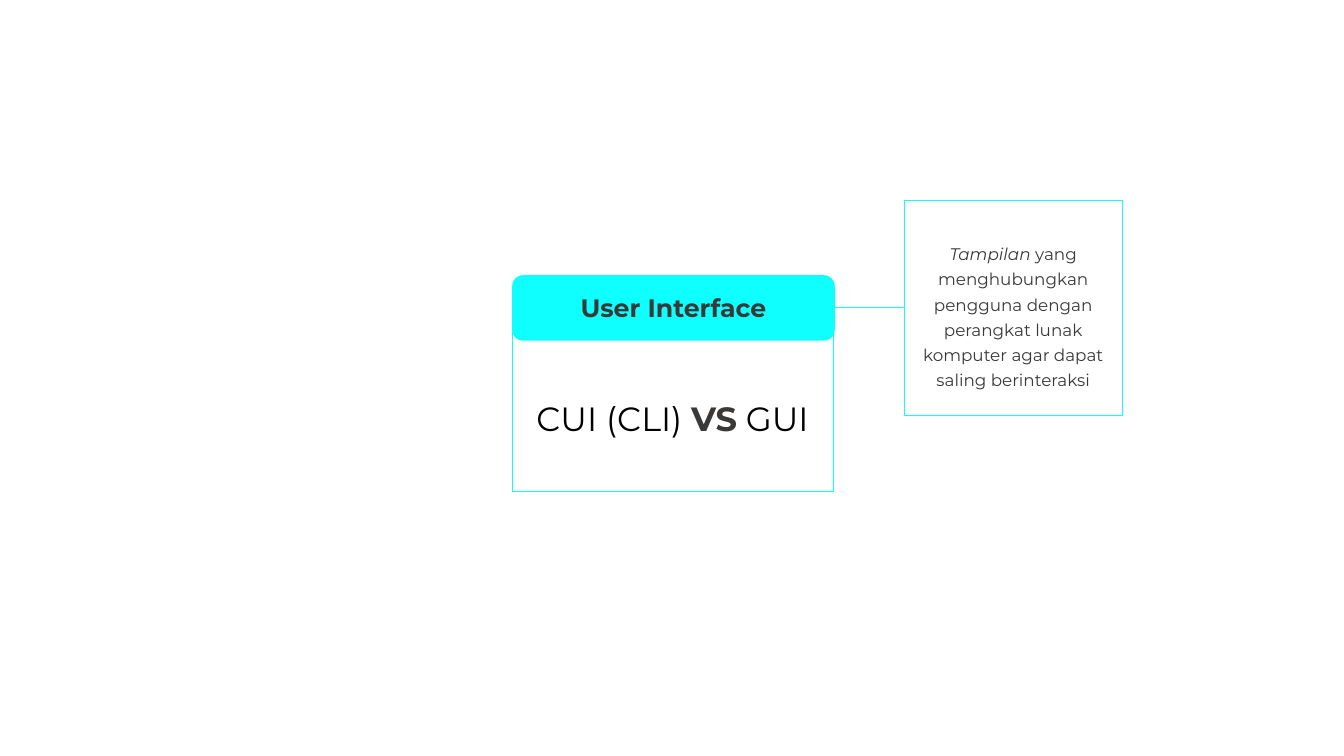
from pptx import Presentation
from pptx.dml.color import RGBColor
from pptx.enum.shapes import MSO_CONNECTOR, MSO_SHAPE
from pptx.enum.text import MSO_ANCHOR, PP_ALIGN
from pptx.oxml.ns import qn
from pptx.util import Inches, Pt
from lxml.etree import SubElement

CYAN = RGBColor(0x0F, 0xFF, 0xFF)
WHITE = RGBColor(0xFF, 0xFF, 0xFF)
BLACK = RGBColor(0x00, 0x00, 0x00)
GRAY = RGBColor(0x3B, 0x38, 0x38)
FONT = "Montserrat"

VERSUS = [("CUI (CLI) ", BLACK, ""), ("VS", GRAY, "b"), (" GUI", BLACK, "")]
HEADER = [("User Interface", GRAY, "b")]
NOTE = [
    ("Tampilan", GRAY, "i"),
    (" yang menghubungkan pengguna dengan perangkat lunak komputer "
     "agar dapat saling berinteraksi", GRAY, ""),
]

LEFT, RIGHT = 5.08, 8.27
MID, BASE = 3.05, 4.87
HEAD = (LEFT, 2.73, 3.2, 0.65)
CARD = (8.97, 1.99, 2.16, 2.13)
TITLE = (0.92, 0.4, 11.5, 6.82)
FRAME = [
    (RIGHT, MID, RIGHT, BASE),
    (LEFT, MID, LEFT, BASE),
    (LEFT, BASE, RIGHT, BASE),
]
LINK = (LEFT + HEAD[2], MID, CARD[0], MID)

deck = Presentation()
deck.slide_width = Inches(13.33)
deck.slide_height = Inches(7.5)
slide = deck.slides.add_slide(deck.slide_layouts[6])
shapes = slide.shapes


def write(shape, runs, size, anchor=MSO_ANCHOR.MIDDLE, top=0.05):
    frame = shape.text_frame
    frame.word_wrap = True
    frame.vertical_anchor = anchor
    frame.margin_top = Inches(top)
    para = frame.paragraphs[0]
    para.alignment = PP_ALIGN.CENTER
    for text, color, style in runs:
        run = para.add_run()
        run.text = text
        font = run.font
        font.name = FONT
        font.size = Pt(size)
        font.color.rgb = color
        font.bold = style == "b"
        font.italic = style == "i"
    return para


def block(kind, box, fill):
    shape = shapes.add_shape(kind, *map(Inches, box))
    shape.shadow.inherit = False
    shape.fill.solid()
    shape.fill.fore_color.rgb = fill
    shape.line.fill.background()
    return shape


def rule(ends):
    line = shapes.add_connector(MSO_CONNECTOR.STRAIGHT, *map(Inches, ends))
    line.line.color.rgb = CYAN
    line.line.width = Pt(0.5)
    SubElement(line._element.spPr, qn("a:effectLst"))


title = shapes.add_textbox(*map(Inches, TITLE))
write(title, VERSUS, 24, top=0.73)

head = block(MSO_SHAPE.ROUNDED_RECTANGLE, HEAD, CYAN)
write(head, HEADER, 18)

for ends in FRAME:
    rule(ends)

card = block(MSO_SHAPE.FLOWCHART_PROCESS, CARD, WHITE)
card.line.color.rgb = CYAN
card.line.width = Pt(0.25)
para = write(card, NOTE, 12, MSO_ANCHOR.TOP, 0.38)
para.line_spacing = Pt(18)

rule(LINK)

deck.save("out.pptx")
